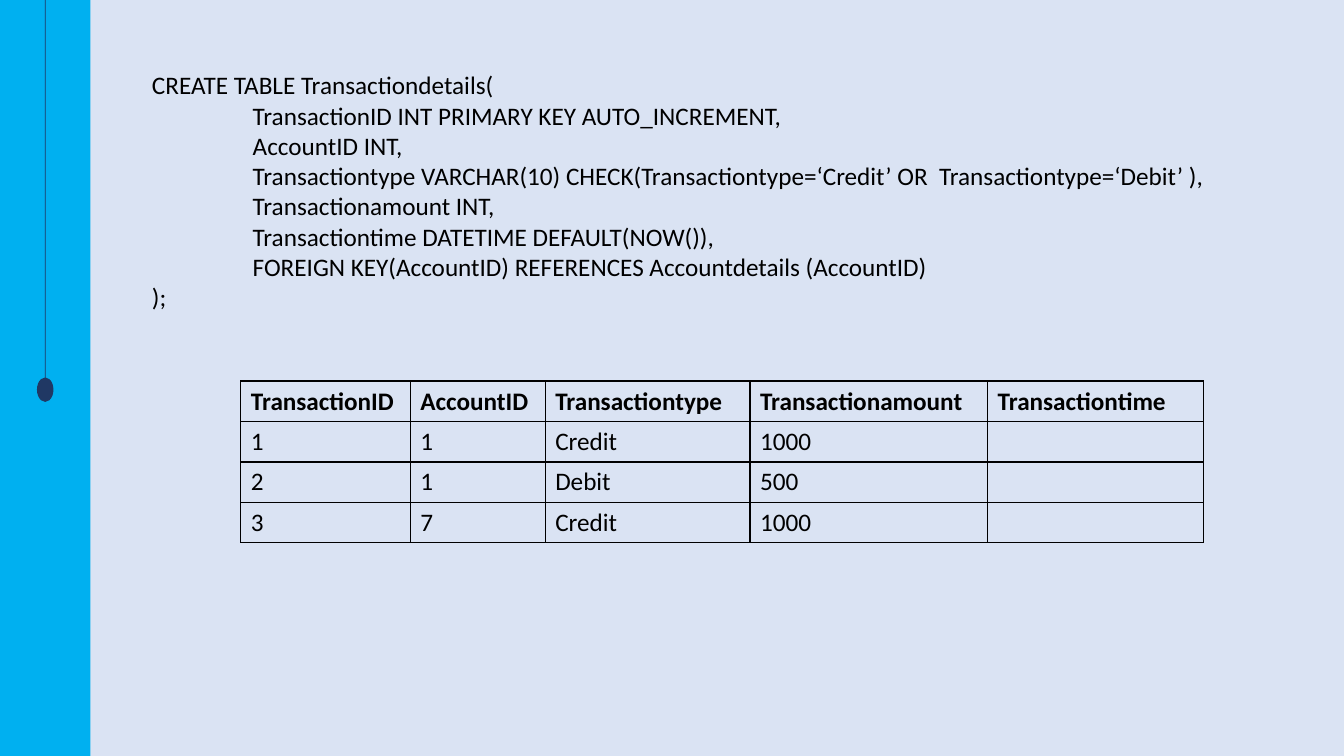
from lxml import etree
from pptx import Presentation
from pptx.dml.color import RGBColor
from pptx.enum.shapes import MSO_CONNECTOR, MSO_SHAPE
from pptx.oxml.ns import qn
from pptx.util import Cm, Pt

RECTANGLE, OVAL = MSO_SHAPE.RECTANGLE, MSO_SHAPE.OVAL
STRAIGHT = MSO_CONNECTOR.STRAIGHT
FONT = "Calibri"
COLORS = {"background": "DAE3F3", "sidebar": "00B0F0", "pin": "203864", "text": "000000"}
RGB = {name: RGBColor.from_string(value) for name, value in COLORS.items()}


def add_text(p, text, bold=False):
    r = p.add_run()
    r.text = text
    r.font.name = FONT
    r.font.size = Pt(18)
    r.font.bold = bold
    r.font.color.rgb = RGB["text"]


def add_borders(cell):
    """Draw a thin line on all four sides of a table cell."""
    props = cell._tc.get_or_add_tcPr()
    for side in ("lnL", "lnR", "lnT", "lnB"):
        line = etree.SubElement(props, qn(f"a:{side}"), w=str(Pt(1)))
        fill = etree.SubElement(line, qn("a:solidFill"))
        etree.SubElement(fill, qn("a:srgbClr"), val=COLORS["text"])


prs = Presentation()
prs.slide_width, prs.slide_height = Cm(33.87), Cm(19.05)
s = prs.slides.add_slide(prs.slide_layouts[6])
s.background.fill.solid()
s.background.fill.fore_color.rgb = RGB["background"]

# Sidebar with a hanging pin
sidebar = s.shapes.add_shape(RECTANGLE, 0, 0, Cm(2.28), prs.slide_height)
sidebar.shadow.inherit = False
sidebar.fill.solid()
sidebar.fill.fore_color.rgb = RGB["sidebar"]
sidebar.line.fill.background()

thread = s.shapes.add_connector(STRAIGHT, Cm(1.14), 0, Cm(1.14), Cm(9.53))
thread.line.color.rgb = RGB["pin"]
thread.line.width = Pt(0.5)
etree.SubElement(thread._element.spPr, qn("a:effectLst"))

pin = s.shapes.add_shape(OVAL, Cm(0.95), Cm(9.53), Cm(0.38), Cm(0.58))
pin.shadow.inherit = False
pin.fill.solid()
pin.fill.fore_color.rgb = RGB["pin"]
pin.line.color.rgb = RGB["pin"]
pin.line.width = Pt(1)
thread.end_connect(pin, 0)

# SQL statement: the column definitions are indented
columns = [
    "TransactionID INT PRIMARY KEY AUTO_INCREMENT,",
    "AccountID INT,",
    "Transactiontype VARCHAR(10) CHECK(Transactiontype=‘Credit’ OR  Transactiontype=‘Debit’ ),",
    "Transactionamount INT,",
    "Transactiontime DATETIME DEFAULT(NOW()),",
    "FOREIGN KEY(AccountID) REFERENCES Accountdetails (AccountID)",
]
statement = ["CREATE TABLE Transactiondetails(", *columns, ");"]

tf = s.shapes.add_textbox(Cm(3.58), Cm(1.63), Cm(27.53), Cm(6.4)).text_frame
tf.word_wrap = True
for i, text in enumerate(statement):
    p = tf.add_paragraph() if i else tf.paragraphs[0]
    if text in columns:
        p._p.get_or_add_pPr().set("marL", str(Cm(2.54)))
    add_text(p, text)

# Sample records
records = [
    ["TransactionID", "AccountID", "Transactiontype", "Transactionamount", "Transactiontime"],
    ["1", "1", "Credit", "1000", ""],
    ["2", "1", "Debit", "500", ""],
    ["3", "7", "Credit", "1000", ""],
]
widths = [4.27, 3.4, 5.16, 5.99, 5.44]
row_height = 1.02

table = s.shapes.add_table(len(records), len(widths), Cm(6.07), Cm(9.6),
                           Cm(sum(widths)), Cm(row_height * len(records))).table
table.first_row = table.horz_banding = False
for column, width in zip(table.columns, widths):
    column.width = Cm(width)
for i, record in enumerate(records):
    table.rows[i].height = Cm(row_height)
    for j, text in enumerate(record):
        cell = table.cell(i, j)
        add_borders(cell)
        cell.fill.background()
        if text:
            add_text(cell.text_frame.paragraphs[0], text, bold=i == 0)

prs.save("out.pptx")
